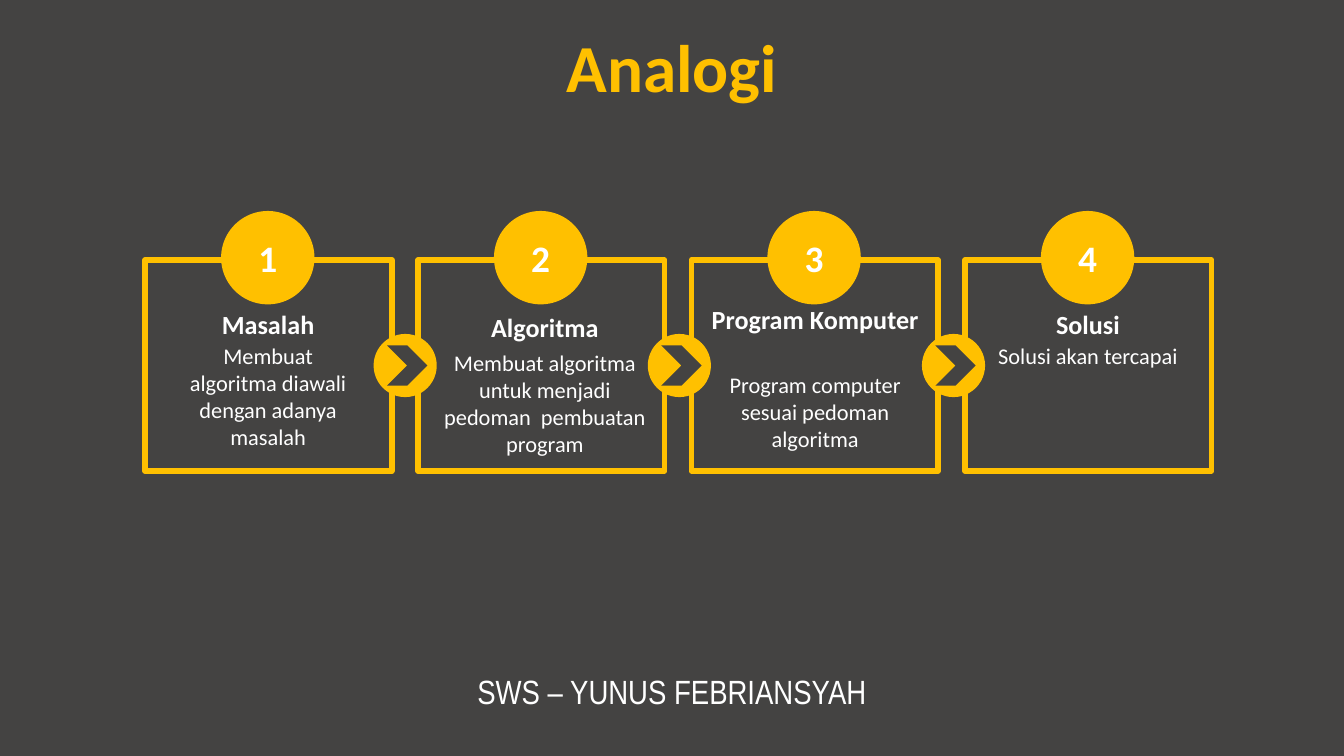
from pptx import Presentation
from pptx.dml.color import RGBColor
from pptx.enum.shapes import MSO_SHAPE
from pptx.enum.text import MSO_ANCHOR, PP_ALIGN
from pptx.util import Pt

RECT, OVAL, CHEVRON = MSO_SHAPE.RECTANGLE, MSO_SHAPE.OVAL, MSO_SHAPE.CHEVRON
TOP, MIDDLE = MSO_ANCHOR.TOP, MSO_ANCHOR.MIDDLE
CENTER = PP_ALIGN.CENTER

GOLD = RGBColor(0xFF, 0xC0, 0x00)
DARK = RGBColor(0x44, 0x43, 0x42)
WHITE = RGBColor(0xFF, 0xFF, 0xFF)

PX = 4572  # 200 px to the inch

deck = Presentation()
deck.slide_width, deck.slide_height = 2000 * PX, 1125 * PX
slide = deck.slides.add_slide(deck.slide_layouts[6])
slide.background.fill.solid()
slide.background.fill.fore_color.rgb = DARK


def add_text(text, box=None, shape=None, size=12, bold=False, color=WHITE,
             font="Calibri", anchor=TOP):
    """Write centred text in a new text box, or in the given shape."""
    if shape is None:
        shape = slide.shapes.add_textbox(*[n * PX for n in box])
    frame = shape.text_frame
    frame.word_wrap = True
    frame.vertical_anchor = anchor
    para = frame.paragraphs[0]
    para.alignment = CENTER
    run = para.add_run()
    run.text = text
    run.font.size, run.font.bold, run.font.name = Pt(size), bold, font
    run.font.color.rgb = color


def add_form(kind, x, y, w, h, fill=None, line=None):
    """Draw a flat preset shape with a fill, an outline or both."""
    form = slide.shapes.add_shape(kind, x * PX, y * PX, w * PX, h * PX)
    form.shadow.inherit = False
    if fill is None:
        form.fill.background()
    else:
        form.fill.solid()
        form.fill.fore_color.rgb = fill
    if line is None:
        form.line.fill.background()
    else:
        form.line.color.rgb = line
        form.line.width = Pt(3)
    return form


# Footer and title
add_text("SWS – YUNUS FEBRIANSYAH", (575, 988, 850, 80), size=18,
         font="Arial Narrow")
add_text("Analogi", (0, 34, 2000, 126), size=36, bold=True, color=GOLD,
         anchor=MIDDLE)

# Steps: heading, its top and height, body, its top and height,
# inset and width of the text
steps = [
    ("Masalah", 449, 70, "Membuat algoritma diawali dengan adanya masalah",
     500, 182, 28, 310),
    ("Algoritma", 453, 68,
     "Membuat algoritma untuk menjadi pedoman  pembuatan program",
     510, 182, 5, 368),
    ("Program Komputer", 442, 114,
     "Program computer sesuai pedoman algoritma", 543, 143, 2, 364),
    ("Solusi", 449, 70, "Solusi akan tercapai", 500, 100, 28, 310),
]
lefts = [216 + 1220 * i // 3 for i in range(len(steps))]

# Cards with numbered badges
for i, (head, head_y, head_h, body, body_y, body_h, inset,
        width) in enumerate(steps):
    x = lefts[i]
    add_form(RECT, x, 387, 367, 314, line=GOLD)
    badge = add_form(OVAL, x + 113, 314, 139, 139, fill=GOLD)
    add_text(str(i + 1), shape=badge, size=20, bold=True, anchor=MIDDLE)
    add_text(body, (x + inset, body_y, width, body_h))
    add_text(head, (x + inset, head_y, width, head_h), size=14, bold=True)

# Arrows between the cards
for i in range(len(steps) - 1):
    x = 556 + 408 * i
    add_form(OVAL, x, 497, 94, 94, fill=GOLD)
    add_form(CHEVRON, x + 20, 514, 60, 60, fill=DARK)

deck.save("out.pptx")
